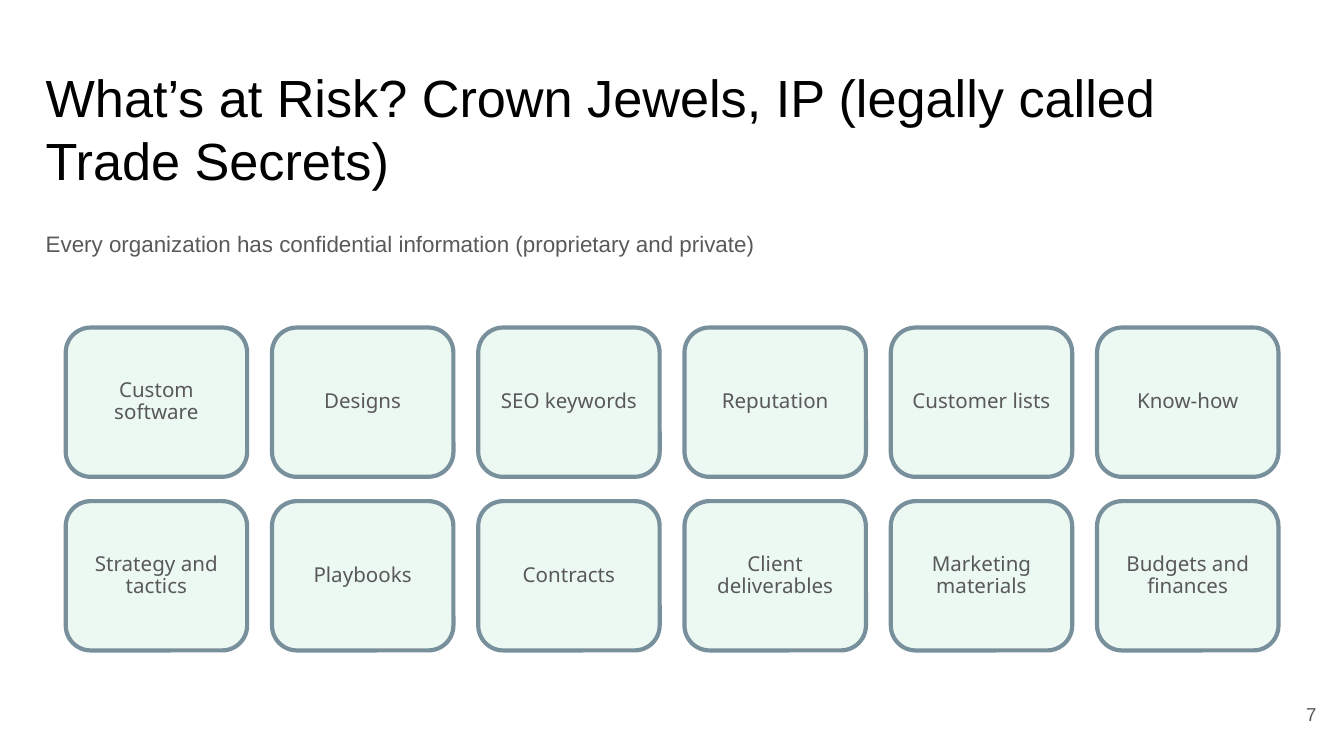
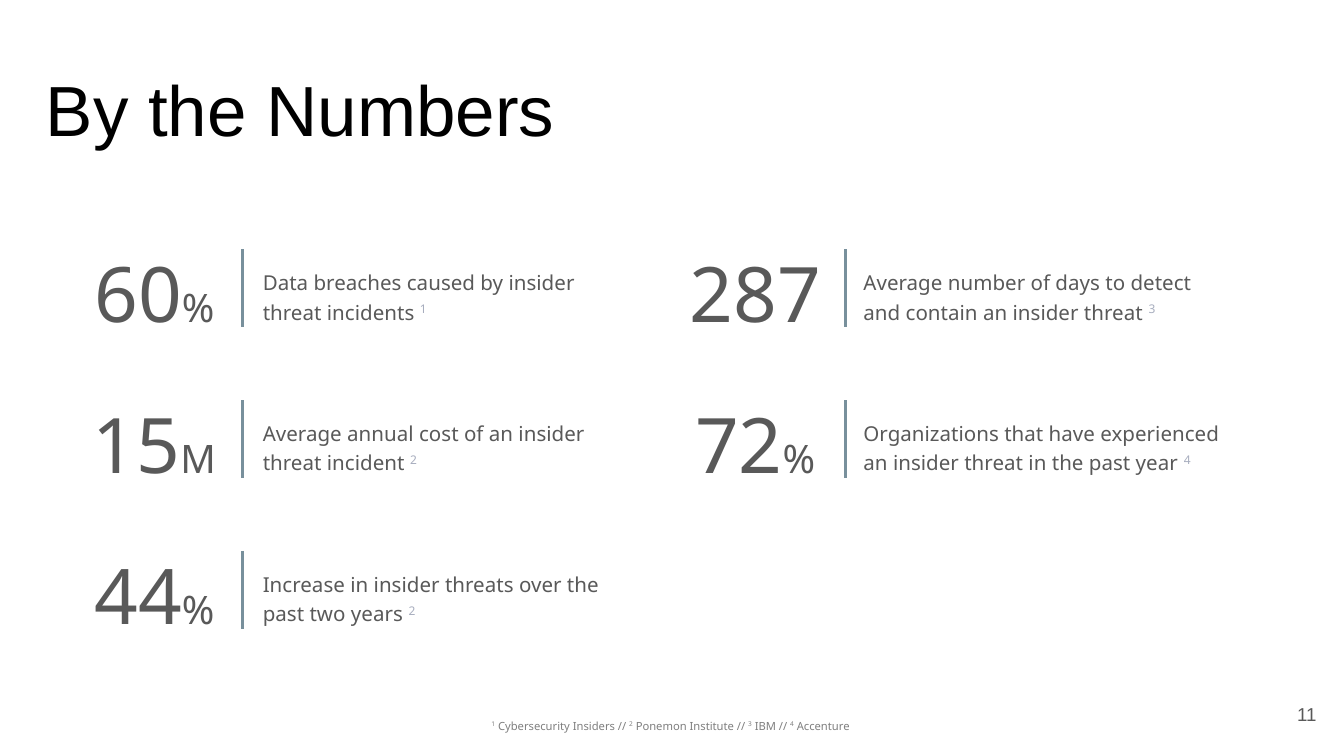
from lxml import etree
from pptx import Presentation
from pptx import util as u
from pptx.dml.color import RGBColor
from pptx.enum import shapes, text
from pptx.oxml import ns

Pt = u.Pt
BLACK = RGBColor(0, 0, 0)
BODY = RGBColor(0x59, 0x59, 0x59)
NOTE = RGBColor(0xA7, 0xAD, 0xBE)
SOURCE = RGBColor(0x7F, 0x7F, 0x7F)
SLATE = RGBColor(0x78, 0x90, 0x9C)
MINT = RGBColor(0xD9, 0xF1, 0xE5)
SANS, NOTO = "Arial", "Noto Sans"
LEFT, CENTER, RIGHT = text.PP_ALIGN.LEFT, text.PP_ALIGN.CENTER, text.PP_ALIGN.RIGHT
TOP, MIDDLE = text.MSO_ANCHOR.TOP, text.MSO_ANCHOR.MIDDLE

CARD_ROWS = [
    ["Custom software", "Designs", "SEO keywords", "Reputation", "Customer lists", "Know-how"],
    ["Strategy and tactics", "Playbooks", "Contracts", "Client deliverables",
     "Marketing materials", "Budgets and finances"],
]
STAT_COLUMNS = [
    (38.4, 129.8, 135.8, [
        ("60", "%", "Data breaches caused by insider threat incidents ", "1"),
        ("15", "M", "Average annual cost of an insider threat incident ", "2"),
        ("44", "%", "Increase in insider threats over the past two years ", "2"),
    ]),
    (360.3, 452.9, 457.6, [
        ("287", "", "Average number of days to detect and contain an insider threat ", "3"),
        ("72", "%", "Organizations that have experienced an insider threat in the past year ", "4"),
    ]),
]
SOURCES = [("1", " Cybersecurity Insiders // "), ("2", " Ponemon Institute // "),
           ("3", " IBM // "), ("4", " Accenture ")]


def apply(target, formats):
    for name, value in formats.items():
        setattr(target, name, value)


def add_span(para, words, size, color, font=NOTO, raised=False):
    span = para.add_run()
    span.text = words
    apply(span.font, {"name": font, "size": Pt(size)})
    span.font.color.rgb = color
    if raised:
        span._r.get_or_add_rPr().set("baseline", "30000")


def format_frame(frame, insets, anchor=TOP, align=LEFT, spacing=1.0):
    sides = ("margin_left", "margin_top", "margin_right", "margin_bottom")
    apply(frame, {"word_wrap": True, "vertical_anchor": anchor})
    apply(frame, {side: Pt(inset) for side, inset in zip(sides, insets)})
    para = frame.paragraphs[0]
    apply(para, {"alignment": align, "line_spacing": spacing})
    return para


def add_text(page, left, top, width, height, insets, **layout):
    box = page.shapes.add_textbox(Pt(left), Pt(top), Pt(width), Pt(height))
    return format_frame(box.text_frame, insets, **layout)


def add_page(deck, title, title_size, title_height, number):
    page = deck.slides.add_slide(deck.slide_layouts[6])
    para = add_text(page, 24.5, 35, 671, title_height, (0, 0, 0, 0))
    add_span(para, title, title_size, BLACK, SANS)
    para = add_text(page, 667, 367.2, 43.2, 31, (5, 3, 5, 3), anchor=MIDDLE, align=RIGHT)
    add_span(para, number, 10, BODY, SANS)
    return page


def add_card(page, left, top, label):
    card = page.shapes.add_shape(shapes.MSO_SHAPE.ROUNDED_RECTANGLE,
                                 Pt(left), Pt(top), Pt(97.2), Pt(80))
    card.shadow.inherit = False
    card.adjustments[0] = 0.167
    card.fill.solid()
    card.fill.fore_color.rgb = MINT
    tint = card._element.spPr.find(ns.qn("a:solidFill"))[0]
    etree.SubElement(tint, ns.qn("a:alpha"), val="49000")
    card.line.color.rgb = SLATE
    card.line.width = Pt(2.25)
    para = format_frame(card.text_frame, (3, 3, 3, 3), MIDDLE, CENTER, 0.9)
    add_span(para, label, 11, BODY)


def add_rule(page, x, top, height):
    rule = page.shapes.add_connector(shapes.MSO_CONNECTOR.STRAIGHT,
                                     Pt(x), Pt(top), Pt(x), Pt(top + height))
    rule.line.color.rgb = SLATE
    rule.line.width = Pt(1.5)
    etree.SubElement(rule._element.spPr, ns.qn("a:effectLst"))


def add_stat(page, figure_left, rule_x, label_left, top, stat):
    figure, unit, label, source = stat
    para = add_text(page, label_left, top + 16, 208, 25.2, (5, 0, 5, 5), spacing=1.2)
    add_span(para, label, 11, BODY)
    add_span(para, source, 11, NOTE, raised=True)
    para = add_text(page, figure_left, top - 0.4, 88.6, 56.9, (0, 0, 0, 5),
                    anchor=MIDDLE, align=CENTER, spacing=1.2)
    add_span(para, figure, 41, BODY)
    if unit:
        add_span(para, unit, 21, BODY)
    add_rule(page, rule_x, top + 7.5, 41.8)


def add_sources(page):
    para = add_text(page, 170, 383.8, 380, 10, (5, 3, 5, 3), anchor=MIDDLE, align=CENTER)
    for mark, name in SOURCES:
        add_span(para, mark, 6, SOURCE, raised=True)
        add_span(para, name, 6, SOURCE)


def main():
    deck = Presentation()
    apply(deck, {"slide_width": Pt(720), "slide_height": Pt(405)})

    page = add_page(deck, "What’s at Risk? Crown Jewels, IP (legally called Trade Secrets)",
                    28, 67.7, "7")
    para = add_text(page, 24.5, 117, 432, 25.2, (0, 5, 0, 5), spacing=1.1)
    add_span(para, "Every organization has confidential information (proprietary and private)",
             12, BODY, SANS)
    for row, labels in enumerate(CARD_ROWS):
        for column, label in enumerate(labels):
            add_card(page, 35.2 + column * 110.5, 175.5 + row * 93, label)

    page = add_page(deck, "By the Numbers", 38, 46, "11")
    add_sources(page)
    for figure_left, rule_x, label_left, stats in STAT_COLUMNS:
        for row, stat in enumerate(stats):
            add_stat(page, figure_left, rule_x, label_left, 126 + row * 80.8, stat)

    deck.save("out.pptx")


if __name__ == "__main__":
    main()
